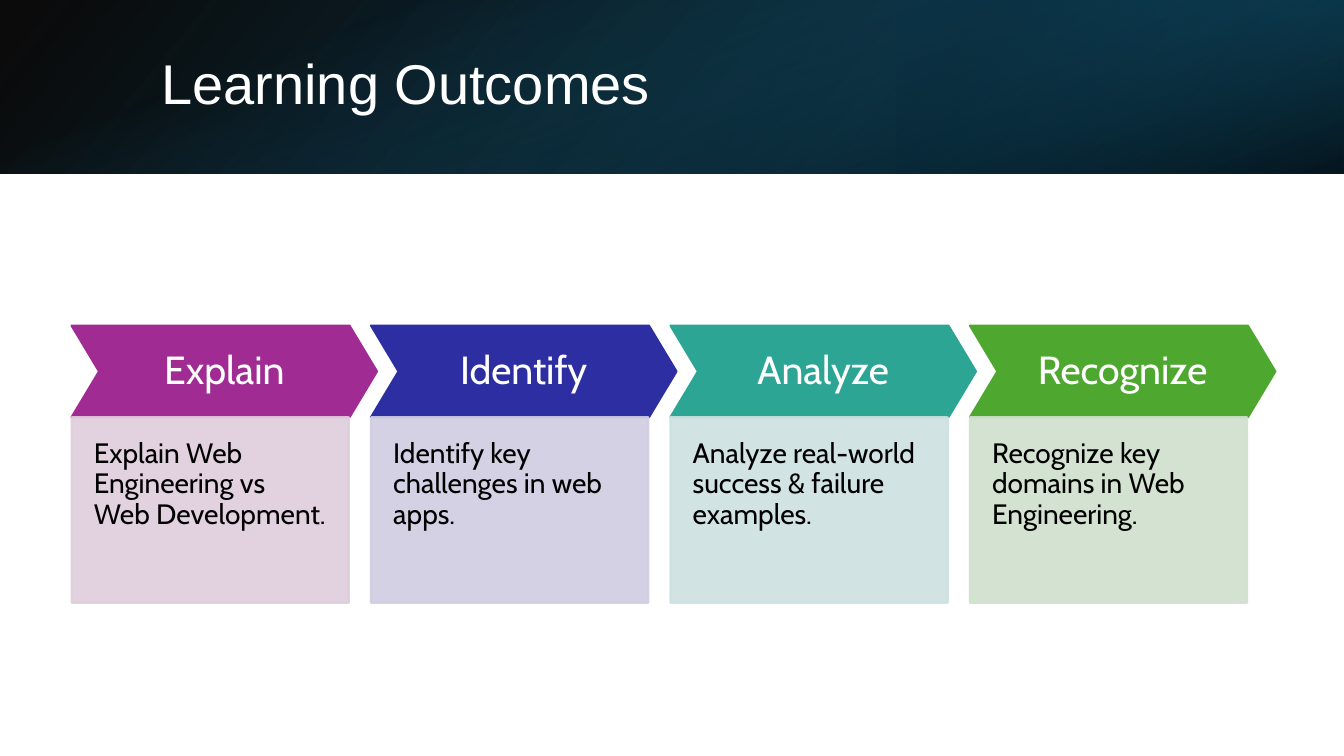
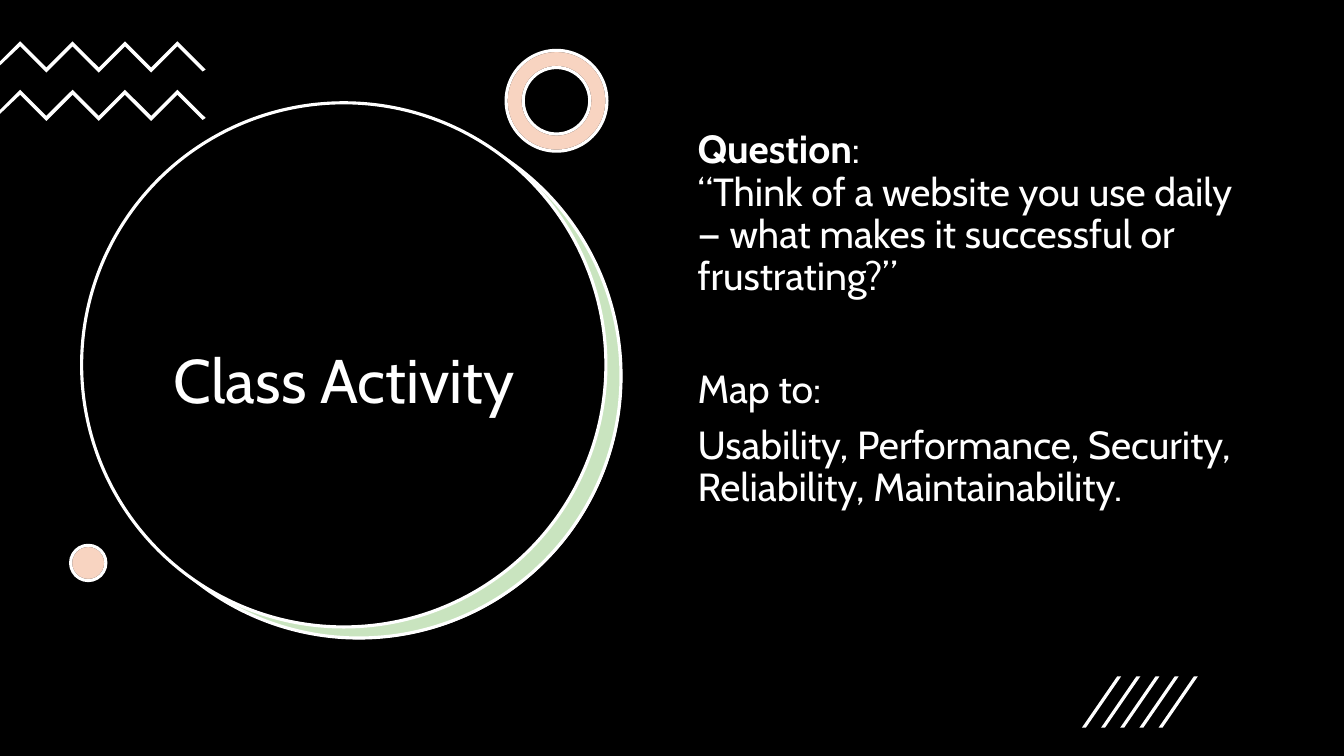
"""Build two slides: learning outcomes and a class activity."""
import pptx
import pptx.dml.color
import pptx.enum.shapes
import pptx.enum.text
import pptx.oxml
import pptx.oxml.ns
import pptx.util

Inches = pptx.util.Inches
Pt = pptx.util.Pt
SHAPE = pptx.enum.shapes.MSO_SHAPE
ALIGN = pptx.enum.text.PP_ALIGN
ANCHOR = pptx.enum.text.MSO_ANCHOR

COLORS = {
    "white": "FFFFFF", "black": "000000", "navy": "104862",
    "ink": "0B3041", "teal": "156082", "green": "4EA72E",
    "orange": "E97132", "purple": "A02B93", "indigo": "2C2EA2",
    "aqua": "2DA594", "pale purple": "DFCDDC", "pale indigo": "CFCDE0",
    "pale aqua": "CDE1E0", "pale green": "D0E1CD",
}
FONT = "Cabin"

OUTCOMES_TITLE = "Learning Outcomes"
OUTCOMES = [
    ("Explain", "Explain Web Engineering vs Web Development.", "purple"),
    ("Identify", "Identify key challenges in web apps.", "indigo"),
    ("Analyze", "Analyze real-world success & failure examples.", "aqua"),
    ("Recognize", "Recognize key domains in Web Engineering.", "green"),
]
BAND_LAYERS = [
    {"box": (0, 0, 13.33, 1.72), "angle": 320,
     "stops": [(0, "black", 96), (1, "navy", 100)]},
    {"box": (8.89, 0, 4.44, 1.72), "angle": 320,
     "stops": [(0.19, "ink", 68), (1, "teal", 79)]},
    {"box": (0, 0, 13.33, 1.72), "angle": 290,
     "stops": [(0.23, "teal", 0), (0.99, "black", 74)]},
]

ACTIVITY_TITLE = "Class Activity"
BREAK = "\v"
ACTIVITY = [
    (10, [("Question", True), (":", False), (BREAK, False),
          ("“Think of a website you use daily — what makes it successful "
           "or frustrating?”", False)]),
    (50, [("Map to:", False)]),
    (10, [("Usability, Performance, Security, Reliability, "
           "Maintainability.", False)]),
]
CIRCLES = [
    ((0.97, 1.14, 5.2, 5.2), "white", None, 100),
    ((0.96, 1.13, 5.2, 5.2), "green", "white", 30),
    ((0.81, 1.02, 5.2, 5.2), "black", "white", 100),
]
ACCENTS = [
    (SHAPE.DONUT, (5.02, 0.5, 1, 1), [0.17]),
    (SHAPE.OVAL, (0.7, 5.41, 0.35, 0.35), []),
]
ZIGZAG_TOPS = [0.41, 0.89]


def rgb(color):
    """Return the named colour."""
    return pptx.dml.color.RGBColor.from_string(COLORS[color])


def set_alpha(shape, percents):
    """Give the colours of a shape their opacity, in order."""
    colors = shape._element.spPr.iter(pptx.oxml.ns.qn("a:srgbClr"))
    for color, percent in zip(colors, percents):
        if percent < 100:
            alpha = color.makeelement(pptx.oxml.ns.qn("a:alpha"),
                                      {"val": str(percent * 1000)})
            color.append(alpha)


def paint(shape, fill, line=None, weight=2.25, alpha=100, line_alpha=100):
    """Set fill, outline and opacity, without a shadow."""
    shape.shadow.inherit = False
    shape.fill.solid()
    shape.fill.fore_color.rgb = rgb(fill)
    if line:
        shape.line.color.rgb = rgb(line)
        shape.line.width = Pt(weight)
    else:
        shape.line.fill.background()
    set_alpha(shape, [alpha, line_alpha])


def add_shape(slide, kind, box, adjustments=()):
    """Add a preset shape at a box given in inches."""
    shape = slide.shapes.add_shape(kind, *map(Inches, box))
    for index, value in enumerate(adjustments):
        shape.adjustments[index] = value
    return shape


def format_text(shape, size, color, font=FONT, align=ALIGN.LEFT,
                anchor=ANCHOR.MIDDLE, margins=None):
    """Format all the text of a shape alike."""
    frame = shape.text_frame
    frame.word_wrap = True
    frame.auto_size = pptx.enum.text.MSO_AUTO_SIZE.NONE
    frame.vertical_anchor = anchor
    if margins:
        (frame.margin_left, frame.margin_top,
         frame.margin_right, frame.margin_bottom) = map(Inches, margins)
    for paragraph in frame.paragraphs:
        paragraph.alignment = align
        paragraph.line_spacing = 0.9
        for run in paragraph.runs:
            run.font.size = Pt(size)
            run.font.name = font
            run.font.color.rgb = rgb(color)


def set_title(slide, text, box, size, **style):
    """Fill, place and format the title placeholder on top of the rest."""
    title = slide.shapes.title
    title.left, title.top, title.width, title.height = map(Inches, box)
    title.text_frame.text = text
    format_text(title, size, "white", **style)
    slide.shapes._spTree.append(title._element)


def add_band_layer(slide, layer):
    """Add one translucent gradient of the title band."""
    shape = add_shape(slide, SHAPE.RECTANGLE, layer["box"])
    shape.shadow.inherit = False
    shape.line.fill.background()
    shape.fill.gradient()
    shape.fill.gradient_angle = layer["angle"]
    for stop, (position, color, _) in zip(shape.fill.gradient_stops,
                                          layer["stops"]):
        stop.position = position
        stop.color.rgb = rgb(color)
    set_alpha(shape, [alpha for _, _, alpha in layer["stops"]])


def add_outcome(slide, left, heading, text, color):
    """Add one chevron with the card below it."""
    chevron = add_shape(slide, SHAPE.CHEVRON, (left, 3.23, 3.03, 0.91), [0.3])
    paint(chevron, color, color, 1.5)
    chevron.text_frame.text = heading
    format_text(chevron, 28, "white", align=ALIGN.CENTER, margins=[0.11] * 4)

    card = add_shape(slide, SHAPE.RECTANGLE, (left, 4.14, 2.75, 1.84))
    pale = "pale " + color
    paint(card, pale, pale, 1.5, alpha=90, line_alpha=90)
    card.text_frame.text = text
    format_text(card, 20, "black", anchor=ANCHOR.TOP,
                margins=(0.22, 0.22, 0.22, 0.44))


def add_zigzag(slide, top):
    """Add a zigzag ribbon that starts at the left edge."""
    upper = [(0.2 + 0.26 * i, top + 0.26 * (i % 2)) for i in range(7)]
    lower = [(x, y + 0.05) for x, y in reversed(upper)]
    right_end = [(2.04, top + 0.28), (2.01, top + 0.3)]
    left_end = [(0, top + 0.24), (0, top + 0.2)]
    points = [(Inches(x), Inches(y))
              for x, y in upper + right_end + lower + left_end]
    builder = slide.shapes.build_freeform(*points[0])
    builder.add_line_segments(points[1:], close=True)
    paint(builder.convert_to_shape(), "white")


def add_activity_text(slide):
    """Add the question and the qualities to map it to."""
    box = slide.shapes.add_textbox(*map(Inches, (6.82, 1.24, 5.71, 4.76)))
    for index, (space, parts) in enumerate(ACTIVITY):
        frame = box.text_frame
        paragraph = frame.add_paragraph() if index else frame.paragraphs[0]
        paragraph.space_before = Pt(space)
        for text, bold in parts:
            if text == BREAK:
                paragraph.add_line_break()
            else:
                run = paragraph.add_run()
                run.text = text
                run.font.bold = bold
    format_text(box, 28, "white", anchor=ANCHOR.TOP)


def build_outcomes(slide):
    """Build the slide of learning outcomes."""
    for layer in BAND_LAYERS:
        add_band_layer(slide, layer)
    set_title(slide, OUTCOMES_TITLE, (1.5, 0.38, 10.98, 0.96), 40,
              font="Arial")
    for index, outcome in enumerate(OUTCOMES):
        add_outcome(slide, 0.71 + 2.97 * index, *outcome)


def build_activity(slide):
    """Build the slide of the class activity."""
    slide.background.fill.solid()
    slide.background.fill.fore_color.rgb = rgb("black")
    for box, fill, line, alpha in CIRCLES:
        paint(add_shape(slide, SHAPE.OVAL, box), fill, line, alpha=alpha)
    set_title(slide, ACTIVITY_TITLE, (1.21, 2.05, 4.41, 3.52), 44,
              align=ALIGN.CENTER)
    for top in ZIGZAG_TOPS:
        add_zigzag(slide, top)
    for kind, box, adjustments in ACCENTS:
        for fill, line, alpha in [("white", "black", 100),
                                  ("orange", "white", 30)]:
            accent = add_shape(slide, kind, box, adjustments)
            paint(accent, fill, line, alpha=alpha)
    add_activity_text(slide)
    for index in range(5):
        box = (10.73 + 0.19 * index, 6.71, 0.39, 0.51)
        paint(add_shape(slide, SHAPE.PARALLELOGRAM, box, [0.9]), "white")


def main():
    """Build and save the presentation."""
    presentation = pptx.Presentation()
    presentation.slide_width = Inches(13.33)
    presentation.slide_height = Inches(7.5)
    title_only = presentation.slide_layouts[5]
    for build in (build_outcomes, build_activity):
        build(presentation.slides.add_slide(title_only))
    presentation.save("out.pptx")


if __name__ == "__main__":
    main()
